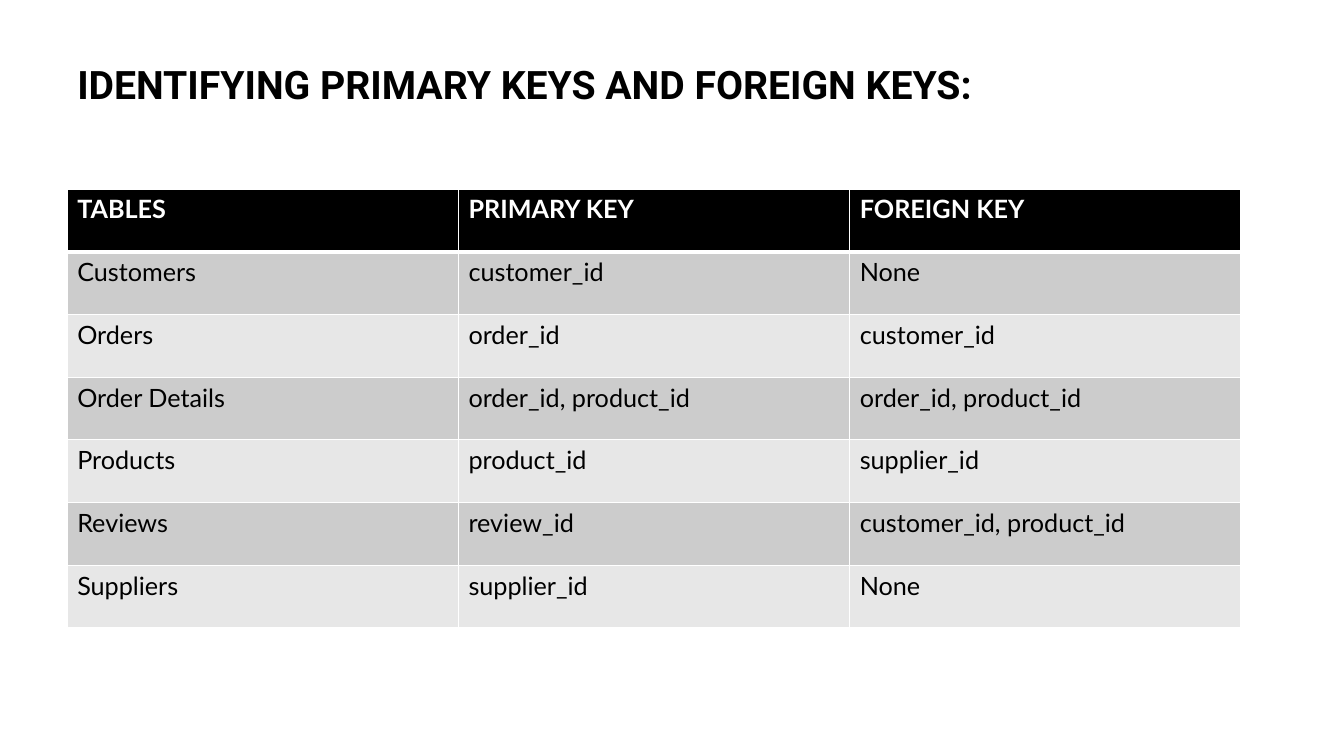
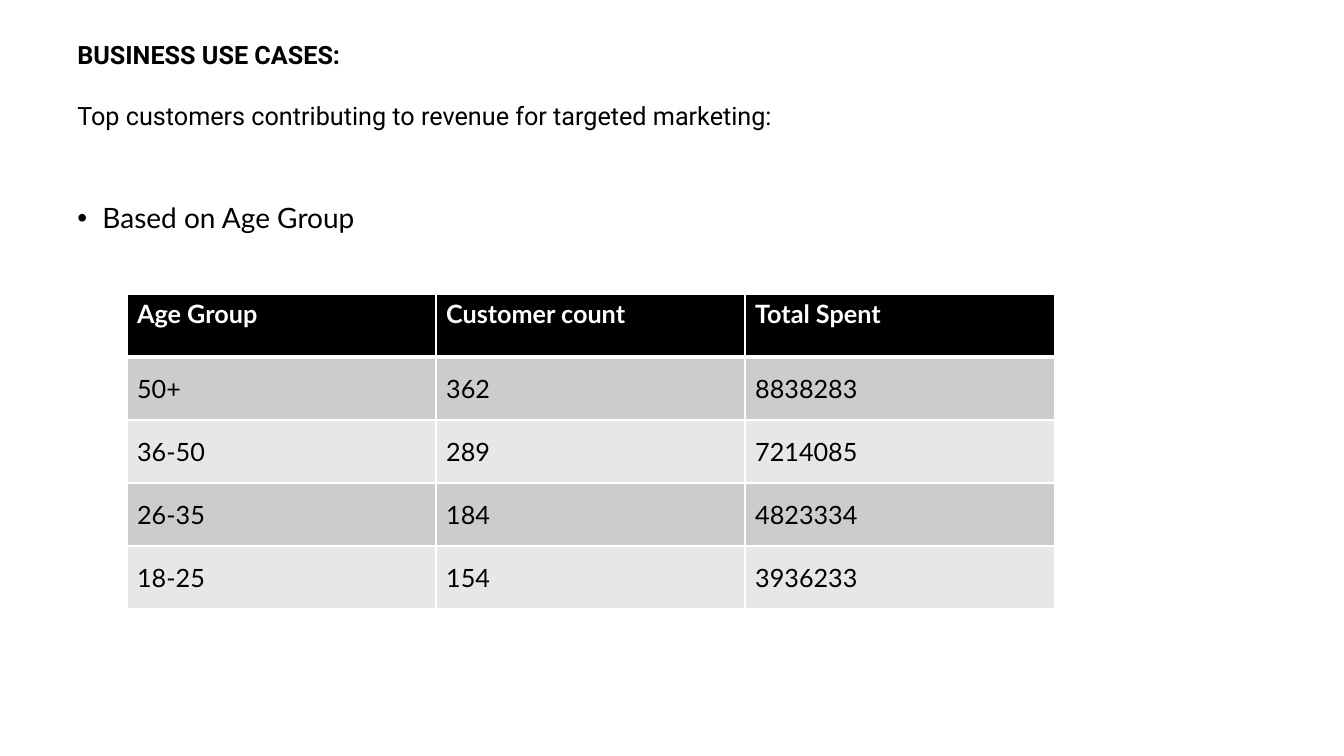
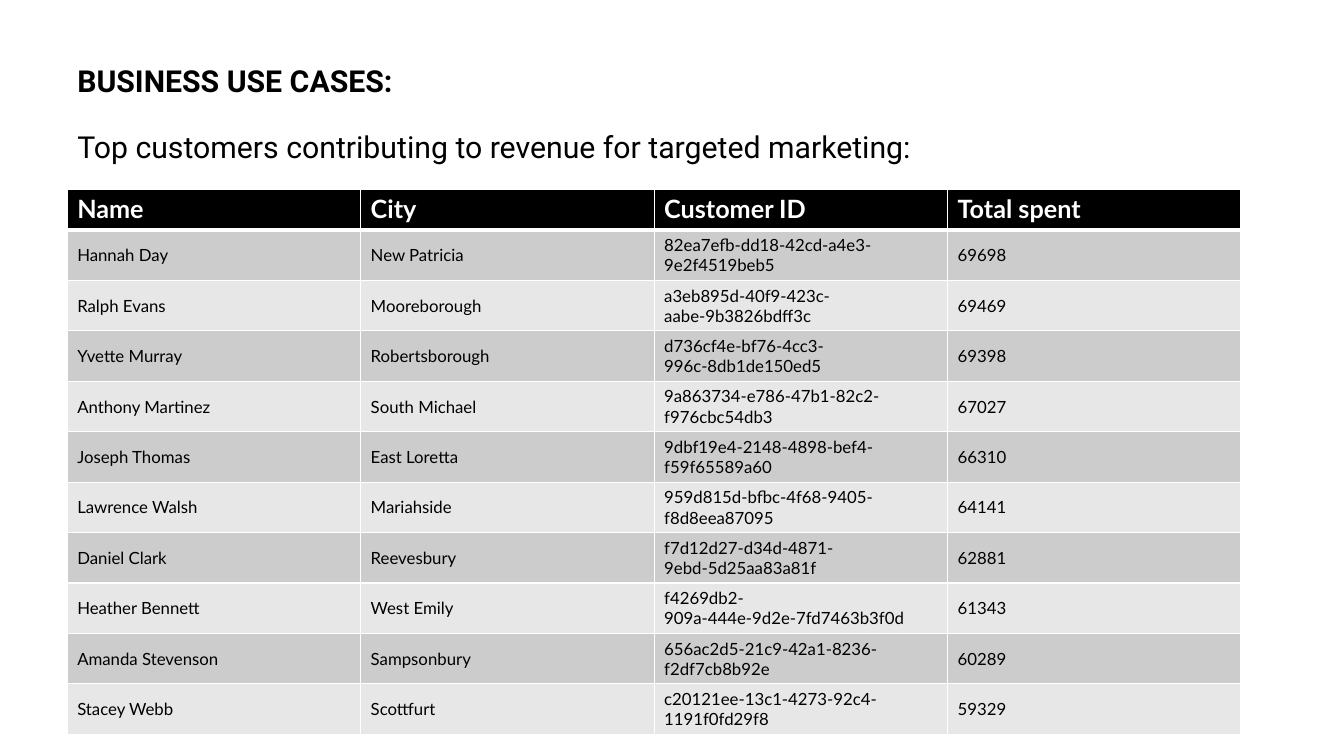
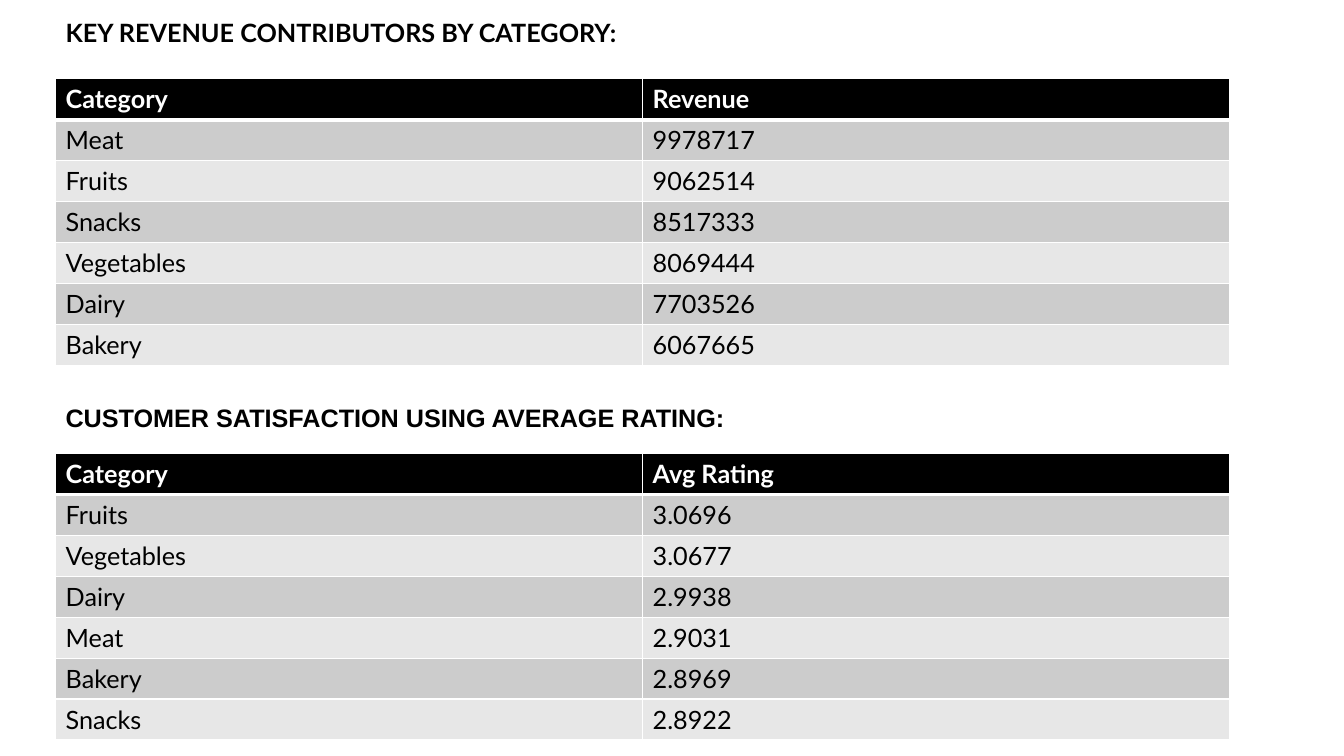
from dataclasses import dataclass

from lxml import etree
from pptx import Presentation
from pptx.dml.color import RGBColor
from pptx.enum.text import MSO_ANCHOR, MSO_AUTO_SIZE, PP_ALIGN
from pptx.oxml.ns import qn
from pptx.util import Emu, Pt

TOP, MIDDLE = MSO_ANCHOR.TOP, MSO_ANCHOR.MIDDLE
LEFT = PP_ALIGN.LEFT
FIXED = MSO_AUTO_SIZE.NONE
LIST, TITLED = 1, 5


@dataclass(frozen=True)
class Theme:
    black: str = "000000"
    white: str = "FFFFFF"
    bands: tuple = ("CCCCCC", "E7E7E7")
    body: str = "Lato"
    head: str = "Roboto"
    plain: str = "Arial"
    small: float = 12
    text: float = 18
    item: float = 20
    lead: float = 21.6
    large: float = 28
    thin: float = 1
    thick: float = 3


T = Theme()

KEYS = [
    ("TABLES", "PRIMARY KEY", "FOREIGN KEY"),
    ("Customers", "customer_id", "None"),
    ("Orders", "order_id", "customer_id"),
    ("Order Details", "order_id, product_id", "order_id, product_id"),
    ("Products", "product_id", "supplier_id"),
    ("Reviews", "review_id", "customer_id, product_id"),
    ("Suppliers", "supplier_id", "None"),
]
AGES = [
    ("Age Group", "Customer count", "Total Spent"),
    ("50+", "362", "8838283"),
    ("36-50", "289", "7214085"),
    ("26-35", "184", "4823334"),
    ("18-25", "154", "3936233"),
]
BUYERS = [
    ("Name", "City", "Customer ID", "Total spent"),
    ("Hannah Day", "New Patricia", "82ea7efb-dd18-42cd-a4e3-9e2f4519beb5", "69698"),
    ("Ralph Evans", "Mooreborough", "a3eb895d-40f9-423c-aabe-9b3826bdff3c", "69469"),
    ("Yvette Murray", "Robertsborough", "d736cf4e-bf76-4cc3-996c-8db1de150ed5", "69398"),
    ("Anthony Martinez", "South Michael", "9a863734-e786-47b1-82c2-f976cbc54db3", "67027"),
    ("Joseph Thomas", "East Loretta", "9dbf19e4-2148-4898-bef4-f59f65589a60", "66310"),
    ("Lawrence Walsh", "Mariahside", "959d815d-bfbc-4f68-9405-f8d8eea87095", "64141"),
    ("Daniel Clark", "Reevesbury", "f7d12d27-d34d-4871-9ebd-5d25aa83a81f", "62881"),
    ("Heather Bennett", "West Emily", "f4269db2-909a-444e-9d2e-7fd7463b3f0d", "61343"),
    ("Amanda Stevenson", "Sampsonbury", "656ac2d5-21c9-42a1-8236-f2df7cb8b92e", "60289"),
    ("Stacey Webb", "Scottfurt", "c20121ee-13c1-4273-92c4-1191f0fd29f8", "59329"),
]
SALES = [
    ("Category", "Revenue"),
    ("Meat", "9978717"),
    ("Fruits", "9062514"),
    ("Snacks", "8517333"),
    ("Vegetables", "8069444"),
    ("Dairy", "7703526"),
    ("Bakery", "6067665"),
]
RATINGS = [
    ("Category", "Avg Rating"),
    ("Fruits", "3.0696"),
    ("Vegetables", "3.0677"),
    ("Dairy", "2.9938"),
    ("Meat", "2.9031"),
    ("Bakery", "2.8969"),
    ("Snacks", "2.8922"),
]
CASES = ("BUSINESS USE CASES:",
         "Top customers contributing to revenue for targeted marketing:")


def px(n):
    return Emu(round(n * 9525))


def style(para, size, face=T.body, color=T.black, bold=False):
    font = para.font
    font.size, font.name, font.bold = Pt(size), face, bold
    font.color.rgb = RGBColor.from_string(color)


def place(shape, box):
    """Moves a text shape to the box and sets up its frame."""
    shape.left, shape.top, shape.width, shape.height = map(px, box)
    frame = shape.text_frame
    frame.word_wrap = True
    frame.auto_size = FIXED
    frame.vertical_anchor = TOP
    return frame


def heading(shape, box, lines, size, face=T.head, lead=0.9, gap=0):
    """Writes a bold first line, then plain lines set off by the gap."""
    frame = place(shape, box)
    frame.text = "\n".join(lines)
    for i, para in enumerate(frame.paragraphs):
        style(para, size, face, bold=i == 0)
        para.alignment = LEFT
        para.line_spacing = lead
        para.space_before = Pt(gap if i else 0)


def bullets(shape, box, items):
    frame = place(shape, box)
    frame.text = "\n".join(items)
    for para in frame.paragraphs:
        style(para, T.item)
        para.line_spacing = 1.2
        para.space_before = Pt(10)
        props = para._p.get_or_add_pPr()
        props.set("marL", str(px(24)))
        props.set("indent", str(px(-24)))


def edge(cell, side, width):
    line = etree.SubElement(cell._tc.get_or_add_tcPr(), qn("a:" + side),
                            w=str(Pt(width)))
    fill = etree.SubElement(line, qn("a:solidFill"))
    etree.SubElement(fill, qn("a:srgbClr"), val=T.white)


def paint(cell, row, text, size, anchor):
    """Fills one cell; row 0 is the header."""
    head = row == 0
    cell.text = text
    cell.vertical_anchor = TOP if head else anchor
    style(cell.text_frame.paragraphs[0], T.text if head else size,
          color=T.white if head else T.black, bold=head)
    for side in ("lnL", "lnR", "lnT", "lnB"):
        rule = (side == "lnB" and head) or (side == "lnT" and row == 1)
        edge(cell, side, T.thick if rule else T.thin)
    cell.fill.solid()
    color = T.black if head else T.bands[(row - 1) % 2]
    cell.fill.fore_color.rgb = RGBColor.from_string(color)


def grid(slide, box, data, head, size=T.text, anchor=MIDDLE):
    """Adds a table with equal columns and equal rows under the header."""
    _, _, wide, high = box
    rows, cols = len(data), len(data[0])
    table = slide.shapes.add_table(rows, cols, *map(px, box)).table
    for col in table.columns:
        col.width = px(wide / cols)
    for r, texts in enumerate(data):
        table.rows[r].height = px((high - head) / (rows - 1) if r else head)
        for c, text in enumerate(texts):
            paint(table.cell(r, c), r, text, size, anchor)


def keys(slide):
    heading(slide.shapes.title, (64, 58, 1118, 119),
            ["IDENTIFYING PRIMARY KEYS AND FOREIGN KEYS:"], T.large)
    grid(slide, (64, 180, 1118, 418), KEYS, 60, anchor=TOP)


def ages(slide):
    heading(slide.shapes.title, (64, 33, 1136, 97), CASES, T.text,
            lead=1, gap=22)
    bullets(slide.placeholders[1], (64, 180, 1118, 482), ["Based on Age Group"])
    grid(slide, (121, 280, 883, 300), AGES, 60)


def buyers(slide):
    heading(slide.shapes.title, (64, 58, 1042, 81), CASES, T.lead, gap=24)
    grid(slide, (64, 180, 1118, 519), BUYERS, 39, T.small)


def ranks(slide):
    left, wide, high = 53, 1118, 273
    heading(slide.shapes.title, (left, 15, wide, 119),
            ["KEY REVENUE CONTRIBUTORS BY CATEGORY:"], T.text, T.body)
    grid(slide, (left, 75, wide, high), SALES, 39)
    grid(slide, (left, 432, wide, high), RATINGS, 39)
    box = (left, 378, 924, 38)
    heading(slide.shapes.add_textbox(*map(px, box)), box,
            ["CUSTOMER SATISFACTION USING AVERAGE RATING:"], T.text, T.plain,
            lead=1)


def main():
    deck = Presentation()
    deck.slide_width, deck.slide_height = px(1280), px(720)
    for build, layout in ((keys, TITLED), (ages, LIST),
                          (buyers, TITLED), (ranks, TITLED)):
        build(deck.slides.add_slide(deck.slide_layouts[layout]))
    deck.save("out.pptx")


if __name__ == "__main__":
    main()
